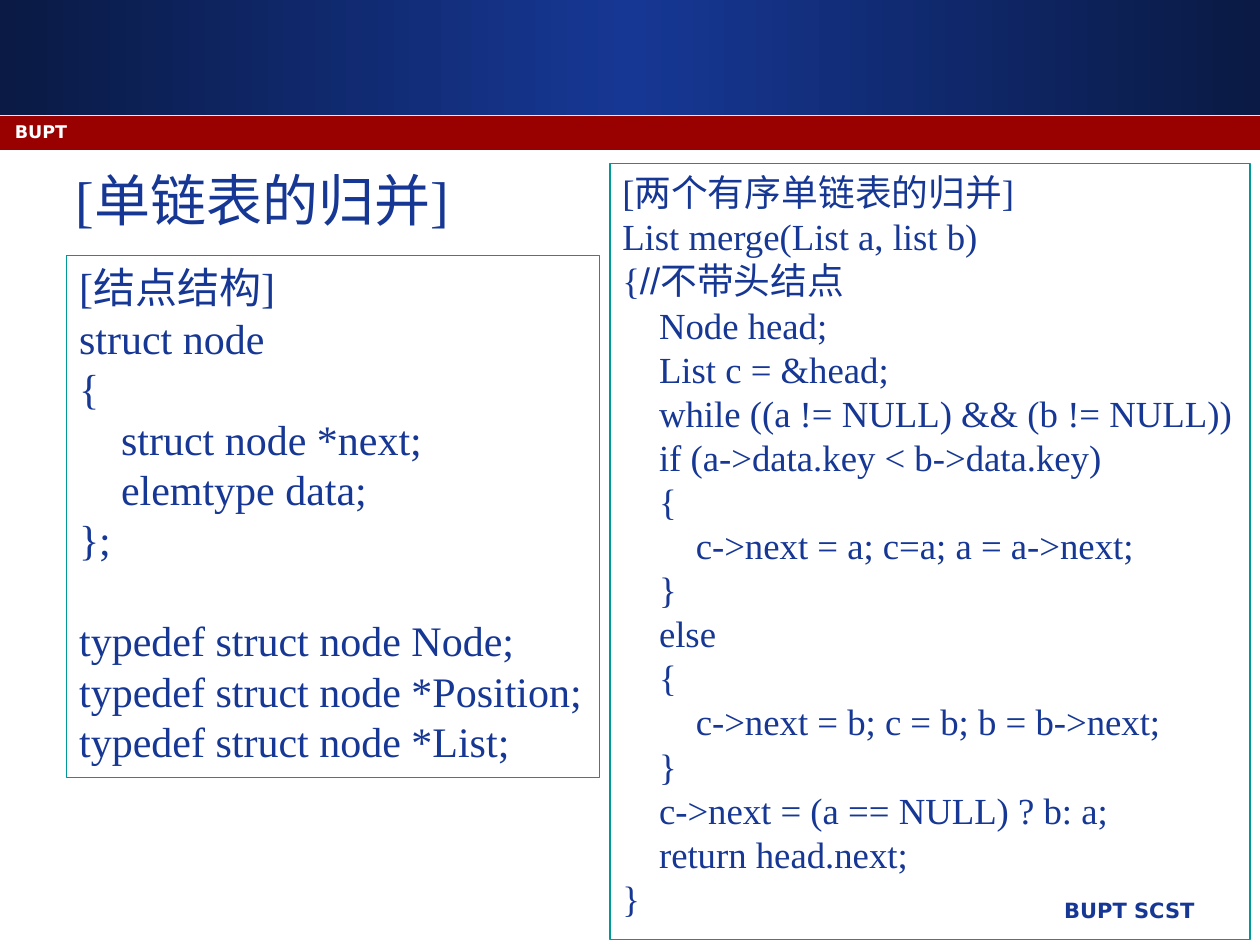
import copy
from dataclasses import dataclass
from typing import Optional

import pptx
import pptx.dml.color
import pptx.enum.shapes
import pptx.enum.text
import pptx.oxml.ns
import pptx.util

ALIGN = pptx.enum.text.PP_ALIGN
ANCHOR = pptx.enum.text.MSO_ANCHOR
COLUMNS, ROWS = 100, 75
CELL = pptx.util.Inches(0.1)


@dataclass(frozen=True)
class Theme:
    blue: str = "163794"
    dark_blue: str = "0A1A44"
    red: str = "990000"
    teal: str = "009999"
    white: str = "FFFFFF"
    serif: str = "Times New Roman"
    sans: str = "Arial"
    label_font: str = "DejaVu Sans"
    title_size: float = 32
    struct_size: float = 24
    merge_size: float = 21
    footer_size: float = 12
    band_size: float = 10
    line_ratio: float = 1.2
    border: float = 0.75


THEME = Theme()


@dataclass(frozen=True)
class Area:
    column: float
    row: float
    columns: float
    rows: float

    def lengths(self) -> tuple:
        values = (self.column, self.row, self.columns, self.rows)
        return tuple(round(value * CELL) for value in values)


@dataclass(frozen=True)
class Listing:
    area: Area
    size: float
    blocks: tuple


@dataclass(frozen=True)
class Label:
    area: Area
    text: str
    size: float
    color: str
    align: ALIGN
    anchor: ANCHOR


STRUCT = Listing(Area(5.3, 20.3, 42.3, 41.4), THEME.struct_size, (
    """[结点结构]
struct node
{
    struct node *next;
    elemtype data;
};""",
    """typedef struct node Node;
typedef struct node *Position;
typedef struct node *List;""",
))

MERGE = Listing(Area(48.4, 13, 50.8, 61.6), THEME.merge_size, (
    """[两个有序单链表的归并]
List merge(List a, list b)
{//不带头结点
    Node head;
    List c = &head;
    while ((a != NULL) && (b != NULL))
    if (a->data.key < b->data.key)
    {
        c->next = a; c=a; a = a->next;
    }
    else
    {
        c->next = b; c = b; b = b->next;
    }
    c->next = (a == NULL) ? b: a;
    return head.next;
}""",
))

LABELS = (
    Label(Area(42.1, 70.7, 53.7, 3.5), "BUPT SCST", THEME.footer_size,
          THEME.blue, ALIGN.RIGHT, ANCHOR.TOP),
    Label(Area(0.2, 9.2, 92.5, 2.5), "BUPT", THEME.band_size,
          THEME.white, ALIGN.LEFT, ANCHOR.MIDDLE),
)


def rgb(color: str) -> pptx.dml.color.RGBColor:
    return pptx.dml.color.RGBColor.from_string(color)


def add_span(para, text: str, size: float, font: str, color: str = THEME.blue,
             bold: bool = False) -> None:
    span = para.add_run()
    span.text = text
    span.font.size = pptx.util.Pt(size)
    span.font.name = font
    span.font.bold = bold
    span.font.color.rgb = rgb(color)


def prepare_frame(box, anchor: ANCHOR = ANCHOR.TOP):
    frame = box.text_frame
    frame.word_wrap = True
    frame.auto_size = pptx.enum.text.MSO_AUTO_SIZE.NONE
    frame.vertical_anchor = anchor
    return frame


def set_lines(para, size: float) -> None:
    para.alignment = ALIGN.LEFT
    para.line_spacing = pptx.util.Pt(size * THEME.line_ratio)
    para.space_before = pptx.util.Pt(0)


def add_rectangle(slide, area: Area):
    kind = pptx.enum.shapes.MSO_SHAPE.RECTANGLE
    box = slide.shapes.add_shape(kind, *area.lengths())
    box.shadow.inherit = False
    return box


def add_header(slide) -> None:
    banner = add_rectangle(slide, Area(0, 0, COLUMNS, 9.1))
    banner.line.fill.background()
    banner.fill.gradient()
    banner.fill.gradient_angle = 0
    for stop, position in zip(banner.fill.gradient_stops, (0, 1)):
        stop.color.rgb = rgb(THEME.dark_blue)
        stop.position = position
    stops = banner.element.spPr.find(".//" + pptx.oxml.ns.qn("a:gsLst"))
    stops.insert(1, copy.deepcopy(stops[0]))
    middle = banner.fill.gradient_stops[1]
    middle.color.rgb = rgb(THEME.blue)
    middle.position = 0.5

    band = add_rectangle(slide, Area(0, 9.2, COLUMNS, 2.7))
    band.line.fill.background()
    band.fill.solid()
    band.fill.fore_color.rgb = rgb(THEME.red)


def add_title(slide, text: str, area: Area) -> None:
    title = slide.shapes.title
    title.left, title.top, title.width, title.height = area.lengths()
    para = prepare_frame(title).paragraphs[0]
    set_lines(para, THEME.title_size)
    add_span(para, text, THEME.title_size, THEME.serif)


def add_label(slide, label: Label) -> None:
    box = slide.shapes.add_textbox(*label.area.lengths())
    para = prepare_frame(box, label.anchor).paragraphs[0]
    para.alignment = label.align
    add_span(para, label.text, label.size, THEME.label_font, label.color, True)


def add_listing(slide, listing: Listing) -> None:
    box = add_rectangle(slide, listing.area)
    box.fill.background()
    box.line.color.rgb = rgb(THEME.teal)
    box.line.width = pptx.util.Pt(THEME.border)
    frame = prepare_frame(box)
    para: Optional[object] = None
    for block in listing.blocks:
        for number, line in enumerate(block.split("\n")):
            starts_gap = para is not None and number == 0
            para = frame.add_paragraph() if para else frame.paragraphs[0]
            set_lines(para, listing.size)
            if starts_gap:
                para.space_before = para.line_spacing
            code, mark, comment = line.partition("//")
            add_span(para, code, listing.size, THEME.serif)
            if mark:
                add_span(para, mark + comment, listing.size, THEME.sans)


def main() -> None:
    deck = pptx.Presentation()
    deck.slide_width, deck.slide_height = COLUMNS * CELL, ROWS * CELL
    slide = deck.slides.add_slide(deck.slide_layouts[5])
    add_header(slide)
    add_title(slide, "[单链表的归并]", Area(5, 12.6, 42, 7))
    for label in LABELS:
        add_label(slide, label)
    for listing in (STRUCT, MERGE):
        add_listing(slide, listing)
    deck.save("out.pptx")


if __name__ == "__main__":
    main()
